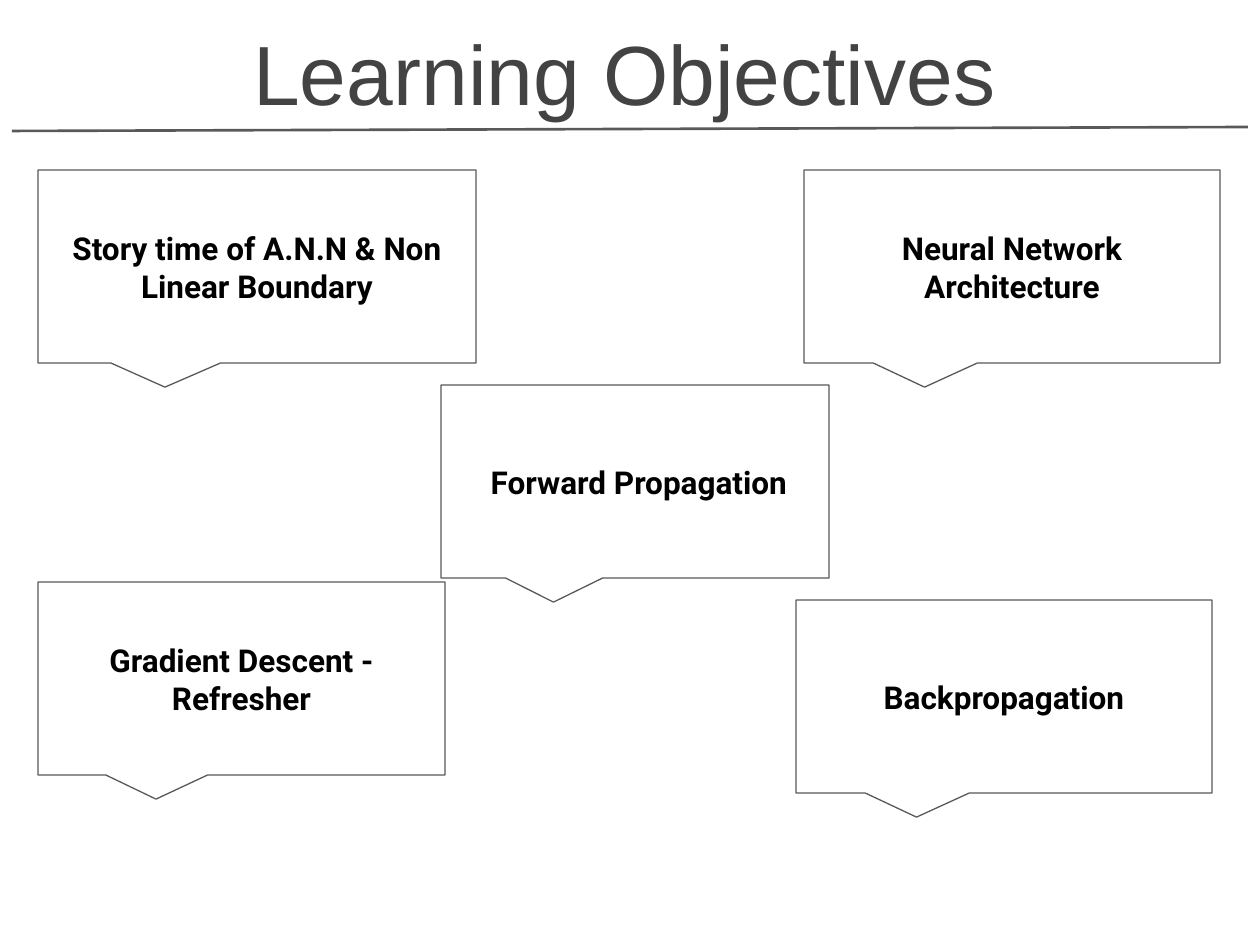
from dataclasses import dataclass

import pptx
import pptx.dml.color
import pptx.enum.shapes
import pptx.enum.text
import pptx.oxml.ns
import pptx.util
from lxml import etree

PX_PER_INCH = 126
MARGIN = 13
LINE_GREY = "595959"


@dataclass(frozen=True)
class Objective:
    text: str
    left: int
    top: int
    width: int
    height: int = 193


OBJECTIVES = [
    Objective("Backpropagation", 796, 600, 416),
    Objective("Gradient Descent - Refresher", 38, 582, 407),
    Objective("Story time of A.N.N & Non Linear Boundary", 38, 170, 438),
    Objective("Neural Network Architecture", 804, 170, 416),
    Objective(" Forward Propagation", 441, 385, 388),
]


def px(length: int) -> pptx.util.Emu:
    return pptx.util.Emu(round(length * 914400 / PX_PER_INCH))


def color(value: str) -> pptx.dml.color.RGBColor:
    return pptx.dml.color.RGBColor.from_string(value)


def write_centred(shape, text: str, size: int, font_name: str, font_color: str,
                  bold: bool, anchor) -> None:
    frame = shape.text_frame
    frame.text = text
    frame.word_wrap = True
    frame.auto_size = pptx.enum.text.MSO_AUTO_SIZE.NONE
    frame.vertical_anchor = anchor
    frame.margin_left = frame.margin_right = px(MARGIN)
    frame.margin_top = frame.margin_bottom = px(MARGIN)
    paragraph = frame.paragraphs[0]
    paragraph.alignment = pptx.enum.text.PP_ALIGN.CENTER
    paragraph.font.size = pptx.util.Pt(size)
    paragraph.font.name = font_name
    paragraph.font.bold = bold
    paragraph.font.color.rgb = color(font_color)


def draw_title(slide, text: str) -> None:
    title = slide.shapes.title
    title.left, title.top = px(164), px(24)
    title.width, title.height = px(921), px(111)
    write_centred(title, text, 48, "Arial", "434343", False,
                  pptx.enum.text.MSO_ANCHOR.BOTTOM)


def draw_rule(slide) -> None:
    rule = slide.shapes.add_connector(
        pptx.enum.shapes.MSO_CONNECTOR.STRAIGHT, px(12), px(131), px(1248), px(127))
    rule.line.color.rgb = color(LINE_GREY)
    rule.line.width = pptx.util.Pt(1.5)
    etree.SubElement(rule._element.spPr, pptx.oxml.ns.qn("a:effectLst"))


def draw_objective(slide, objective: Objective) -> None:
    callout = slide.shapes.add_shape(
        pptx.enum.shapes.MSO_SHAPE.ROUNDED_RECTANGULAR_CALLOUT,
        px(objective.left), px(objective.top),
        px(objective.width), px(objective.height))
    for index, adjustment in enumerate((-0.21, 0.625, 0)):
        callout.adjustments[index] = adjustment
    callout.shadow.inherit = False
    callout.fill.background()
    callout.line.color.rgb = color(LINE_GREY)
    callout.line.width = pptx.util.Pt(0.75)
    write_centred(callout, objective.text, 18, "Roboto", "000000", True,
                  pptx.enum.text.MSO_ANCHOR.MIDDLE)


def main() -> None:
    presentation = pptx.Presentation()
    presentation.slide_width = px(1260)
    presentation.slide_height = px(945)
    slide = presentation.slides.add_slide(presentation.slide_layouts[5])
    draw_title(slide, "Learning Objectives")
    draw_rule(slide)
    for objective in OBJECTIVES:
        draw_objective(slide, objective)
    presentation.save("out.pptx")


if __name__ == "__main__":
    main()
